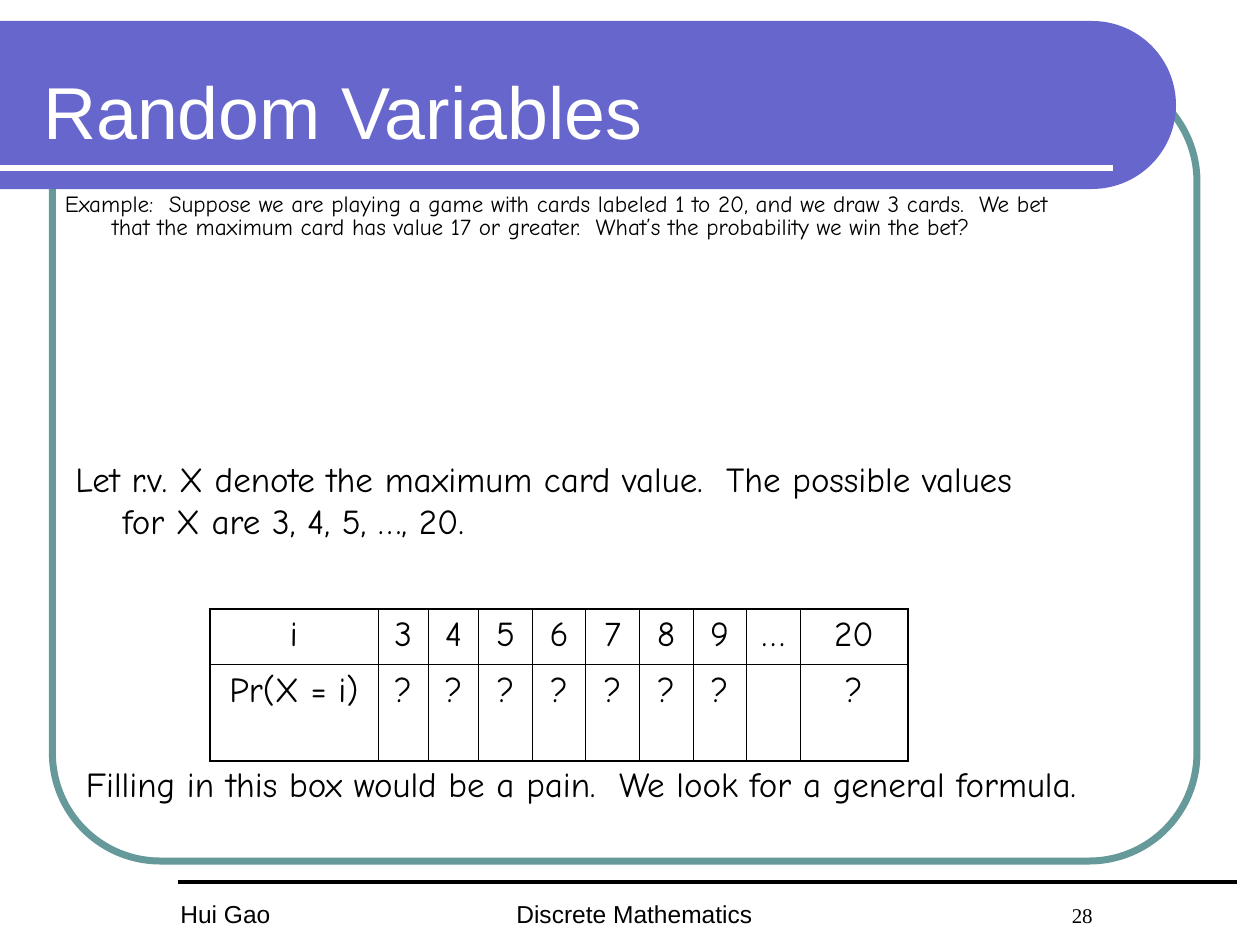
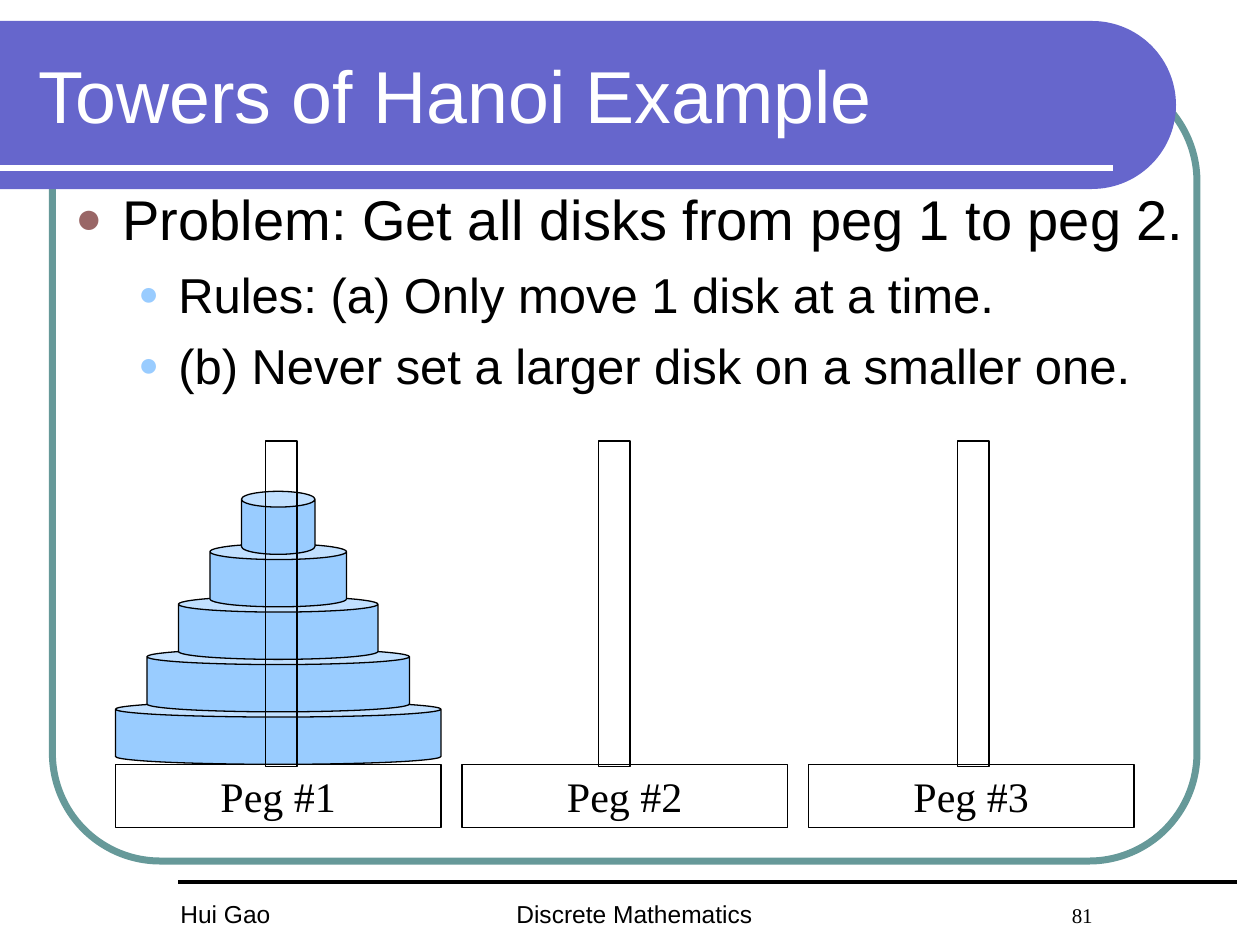
"""Build two discrete mathematics slides: random variables and Towers of Hanoi."""
import math
from collections import namedtuple
from dataclasses import dataclass

from lxml import etree
from pptx import Presentation
from pptx import util as u
from pptx.dml.color import RGBColor
from pptx.enum import shapes, text
from pptx.oxml import ns

Box = namedtuple("Box", "left top width height")
Style = namedtuple("Style", "font size color")


@dataclass(frozen=True)
class Theme:
    band: str = "6666CC"
    frame: str = "669999"
    ink: str = "000000"
    paper: str = "FFFFFF"
    disk: str = "99CCFF"
    main_bullet: str = "996666"
    title: Style = Style("Arial", 42, "FFFFFF")
    body: Style = Style("Arial", 32, "000000")
    rule: Style = Style("Arial", 28, "000000")
    footer: Style = Style("Arial", 14, "000000")
    number: Style = Style("Times New Roman", 12, "000000")
    example: Style = Style("Comic Neue", 13.2, "000000")
    note: Style = Style("Comic Neue", 20, "000000")
    peg: Style = Style("Times New Roman", 24, "000000")
    thin: float = 0.75
    table_outer: float = 1.08
    table_inner: float = 0.45


THEME = Theme()
SLIDE = Box(0, 0, 1200, 900)
EMU_PER_PX = 7620


def px(length):
    return u.Emu(round(length * EMU_PER_PX))


def place(box):
    return [px(length) for length in box]


def rgb(color):
    return RGBColor.from_string(color)


def add_element(parent, tag, **attributes):
    return etree.SubElement(parent, ns.qn(tag), attributes)


def add_run(paragraph, words, style):
    run = paragraph.add_run()
    run.text = words
    run.font.name = style.font
    run.font.size = u.Pt(style.size)
    run.font.color.rgb = rgb(style.color)


def set_indent(paragraph, margin, hanging):
    properties = paragraph._p.get_or_add_pPr()
    properties.set("marL", str(px(margin)))
    properties.set("indent", str(px(-hanging)))
    return properties


def add_text_box(slide, box):
    frame = slide.shapes.add_textbox(*place(box)).text_frame
    frame.word_wrap = True
    return frame


def format_shape(shape, fill=None, line=None, width=THEME.thin):
    shape.shadow.inherit = False
    if fill:
        shape.fill.solid()
        shape.fill.fore_color.rgb = rgb(fill)
    else:
        shape.fill.background()
    if line:
        shape.line.color.rgb = rgb(line)
        shape.line.width = u.Pt(width)
    else:
        shape.line.fill.background()


def add_shape(slide, kind, box, **look):
    shape = slide.shapes.add_shape(kind, *place(box))
    format_shape(shape, **look)
    return shape


def add_rule(slide, left, right, y, color, width):
    rule = slide.shapes.add_connector(
        shapes.MSO_CONNECTOR.STRAIGHT, px(left), px(y), px(right), px(y))
    rule.line.color.rgb = rgb(color)
    rule.line.width = u.Pt(width)
    add_element(rule._element.spPr, "a:effectLst")


def add_band(slide, box):
    radius = box.height / 2
    center_x, center_y = box.left + box.width - radius, box.top + radius
    angles = [math.radians(degrees) for degrees in range(-90, 91, 3)]
    arc = [(px(center_x + radius * math.cos(angle)), px(center_y + radius * math.sin(angle)))
           for angle in angles]
    builder = slide.shapes.build_freeform(px(box.left), px(box.top), scale=1.0)
    builder.add_line_segments(arc + [(px(box.left), px(box.top + box.height))], close=True)
    format_shape(builder.convert_to_shape(), fill=THEME.band)
    add_rule(slide, box.left, box.left + box.width - 60, box.top + 140, THEME.paper, 3)


def add_footer(slide, box, number):
    add_rule(slide, box.left + 10, box.left + box.width - 12, box.top, THEME.ink, 2.25)
    author = add_text_box(slide, Box(box.left, box.top + 10, 230, box.height))
    add_run(author.paragraphs[0], "Hui Gao", THEME.footer)
    course = add_text_box(slide, Box(box.left + 320, box.top + 10, 710, box.height))
    paragraph = course.paragraphs[0]
    tabs = add_element(paragraph._p.get_or_add_pPr(), "a:tabLst")
    add_element(tabs, "a:tab", pos=str(px(529)), algn="l")
    add_run(paragraph, "Discrete Mathematics\t", THEME.footer)
    add_run(paragraph, number, THEME.number)


def add_title(slide, box, words):
    title = slide.shapes.title
    title.left, title.top, title.width, title.height = place(box)
    frame = title.text_frame
    frame.auto_size = text.MSO_AUTO_SIZE.NONE
    frame.vertical_anchor = text.MSO_ANCHOR.MIDDLE
    paragraph = frame.paragraphs[0]
    paragraph.alignment = text.PP_ALIGN.LEFT
    add_run(paragraph, words, THEME.title)
    slide.shapes.element.append(title.element)


def add_slide(presentation, title, title_box, number):
    slide = presentation.slides.add_slide(presentation.slide_layouts[5])
    frame = add_shape(slide, shapes.MSO_SHAPE.ROUNDED_RECTANGLE, Box(50, 70, 1090, 750),
                      line=THEME.frame, width=4)
    frame.adjustments[0] = 0.137
    add_band(slide, Box(0, 20, 1120, 160))
    add_footer(slide, Box(160, 840, 1030, 40), number)
    add_title(slide, title_box, title)
    return slide


def add_note(slide, box, words, style=THEME.note, spacing=1.0):
    paragraph = add_text_box(slide, box).paragraphs[0]
    set_indent(paragraph, 45, 45)
    paragraph.line_spacing = spacing
    add_run(paragraph, words, style)


def set_borders(cell, outer_sides):
    properties = cell._tc.get_or_add_tcPr()
    for index, side in enumerate("LRTB"):
        width = THEME.table_outer if side in outer_sides else THEME.table_inner
        line = etree.Element(ns.qn(f"a:ln{side}"), w=str(u.Pt(width)))
        fill = add_element(line, "a:solidFill")
        add_element(fill, "a:srgbClr", val=THEME.ink)
        properties.insert(index, line)


def add_probability_table(slide, box):
    values = [str(value) for value in range(3, 10)]
    rows = [["i", *values, "…", "20"],
            ["Pr(X = i)", *["?"] * len(values), "", "?"]]
    widths = [160, 48, 48, *[51] * 6, 103]
    heights = [53, box.height - 53]
    table = slide.shapes.add_table(len(rows), len(widths), *place(box)).table
    table.first_row = table.horz_banding = False
    for column, width in zip(table.columns, widths):
        column.width = px(width)
    for r, (words, height) in enumerate(zip(rows, heights)):
        table.rows[r].height = px(height)
        for c, word in enumerate(words):
            cell = table.cell(r, c)
            cell.fill.background()
            sides = "T" if r == 0 else "B"
            sides += {0: "L", len(widths) - 1: "R"}.get(c, "")
            set_borders(cell, sides)
            paragraph = cell.text_frame.paragraphs[0]
            paragraph.alignment = text.PP_ALIGN.CENTER
            if word:
                add_run(paragraph, word, THEME.note)


def add_problem(slide, box):
    entries = [
        ("Problem: Get all disks from peg 1 to peg 2.", 0),
        ("Rules: (a) Only move 1 disk at a time.", 1),
        ("(b) Never set a larger disk on a smaller one.", 1),
    ]
    levels = [(THEME.body, 45, 45, THEME.main_bullet, 80),
              (THEME.rule, 98, 38, THEME.disk, 70)]
    frame = add_text_box(slide, box)
    for index, (words, level) in enumerate(entries):
        style, margin, hanging, color, percent = levels[level]
        paragraph = frame.add_paragraph() if index else frame.paragraphs[0]
        paragraph.level = level
        if index:
            paragraph.space_before = u.Pt(7)
        properties = set_indent(paragraph, margin, hanging)
        bullet_color = add_element(properties, "a:buClr")
        add_element(bullet_color, "a:srgbClr", val=color)
        add_element(properties, "a:buSzPct", val=str(percent * 1000))
        add_element(properties, "a:buFont", typeface=style.font)
        add_element(properties, "a:buChar", char="●")
        add_run(paragraph, words, style)


def add_towers(slide, box):
    base_width, base_height, base_gap = 310, 60, 20
    base_top = box.top + box.height - base_height
    for level in range(5):
        disk = Box(box.left + 30 * level, base_top - 60 - 50 * level, base_width - 60 * level, 60)
        add_shape(slide, shapes.MSO_SHAPE.CAN, disk, fill=THEME.disk, line=THEME.ink)
    for index in range(3):
        left = box.left + index * (base_width + base_gap)
        base = add_shape(slide, shapes.MSO_SHAPE.RECTANGLE,
                         Box(left, base_top, base_width, base_height),
                         fill=THEME.paper, line=THEME.ink)
        paragraph = base.text_frame.paragraphs[0]
        paragraph.alignment = text.PP_ALIGN.CENTER
        add_run(paragraph, f"Peg #{index + 1}", THEME.peg)
    for offset in (143, 460, 802):
        add_shape(slide, shapes.MSO_SHAPE.RECTANGLE, Box(box.left + offset, box.top, 30, 310),
                  line=THEME.ink)


def build_random_variables(presentation):
    slide = add_slide(presentation, "Random Variables", Box(29, 30, 1111, 150), "28")
    add_note(slide, Box(50, 180, 990, 80),
             "Example:  Suppose we are playing a game with cards labeled 1 to 20, and we draw "
             "3 cards.  We bet that the maximum card has value 17 or greater.  "
             "What’s the probability we win the bet?", THEME.example, 0.8)
    add_note(slide, Box(70, 720, 1050, 80),
             "Filling in this box would be a pain.  We look for a general formula.")
    add_note(slide, Box(60, 430, 950, 110),
             "Let r.v. X denote the maximum card value.  The possible values for X are "
             "3, 4, 5, …, 20.")
    add_probability_table(slide, Box(200, 580, 665, 145))


def build_towers_of_hanoi(presentation):
    slide = add_slide(presentation, "Towers of Hanoi Example", Box(25, 30, 1052, 120), "81")
    add_problem(slide, Box(60, 170, 1100, 580))
    add_towers(slide, Box(110, 420, 970, 368))


def main():
    presentation = Presentation()
    presentation.slide_width, presentation.slide_height = px(SLIDE.width), px(SLIDE.height)
    build_random_variables(presentation)
    build_towers_of_hanoi(presentation)
    presentation.save("out.pptx")


if __name__ == "__main__":
    main()
